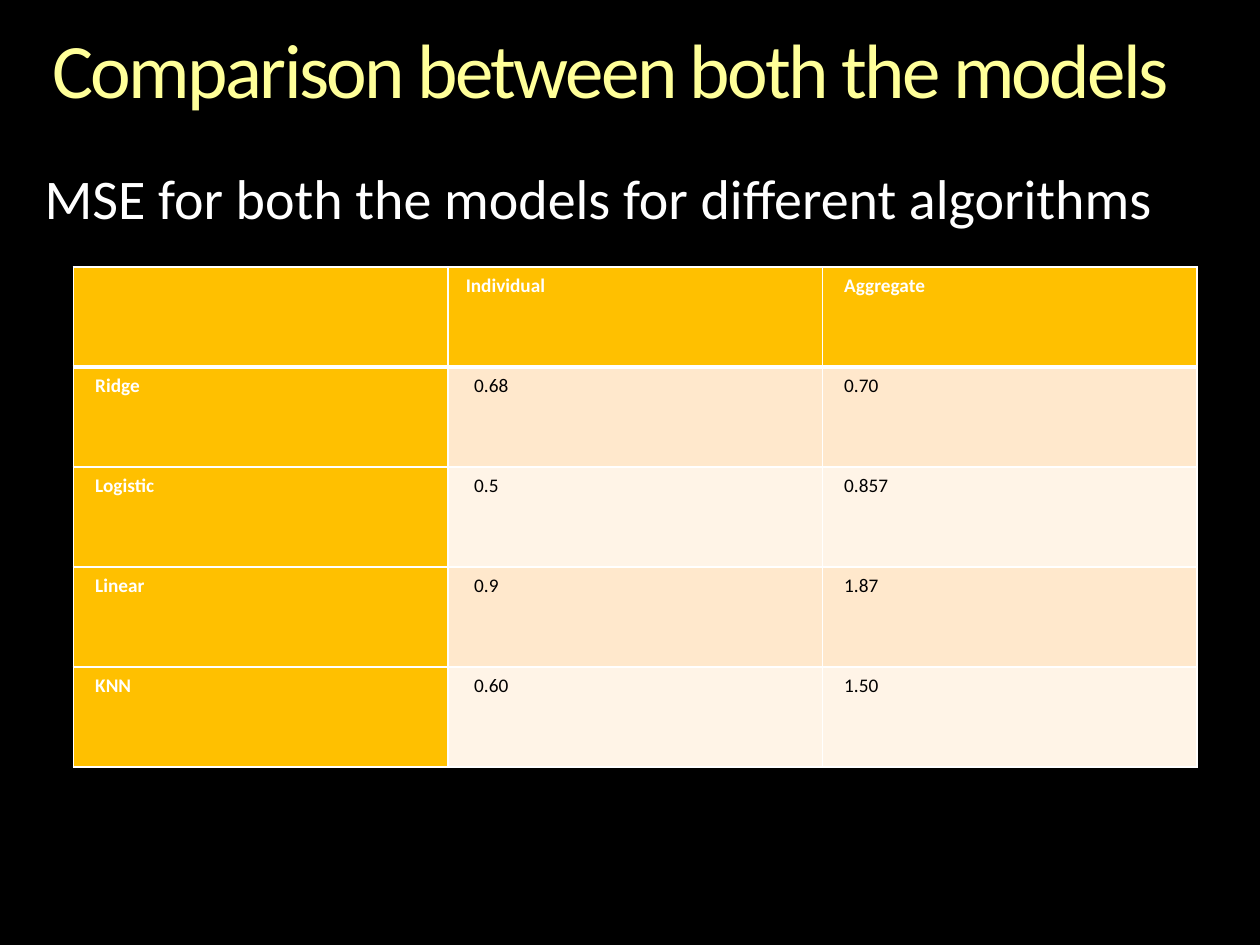
import pptx
import pptx.dml.color
import pptx.enum.text
import pptx.oxml
import pptx.util
from pptx.util import Cm

FONT = "Calibri"
A_NS = "http://schemas.openxmlformats.org/drawingml/2006/main"
ROWS = [
    ["", "Individual", "Aggregate"],
    ["Ridge", "0.68", "0.70"],
    ["Logistic", "0.5", "0.857"],
    ["Linear", "0.9", "1.87"],
    ["KNN", "0.60", "1.50"],
]


def rgb(value):
    """Return the colour for a hex string."""
    return pptx.dml.color.RGBColor.from_string(value)


def write(tf, text, size, color, bold=False, spacing=1.0):
    """Write one formatted paragraph into a text frame and return its run."""
    p = tf.paragraphs[0]
    p.line_spacing = spacing
    r = p.add_run()
    r.text = text
    formats = {"name": FONT, "size": pptx.util.Pt(size), "bold": bold}
    for name, value in formats.items():
        setattr(r.font, name, value)
    r.font.color.rgb = rgb(color)
    return r


def add_line(s, box, text, size, color, spacing=1.0):
    """Add a text box without insets and return its run."""
    tf = s.shapes.add_textbox(*box).text_frame
    formats = {
        "margin_left": 0, "margin_right": 0, "margin_top": 0, "margin_bottom": 0,
        "word_wrap": True,
        "auto_size": pptx.enum.text.MSO_AUTO_SIZE.SHAPE_TO_FIT_TEXT,
    }
    for name, value in formats.items():
        setattr(tf, name, value)
    return write(tf, text, size, color, spacing=spacing)


def add_title(s, box, text):
    """Add the slide title with tightened letters."""
    r = add_line(s, box, text, 44, "FFFF99", 0.9)
    r.font._element.set("spc", "-150")


def set_borders(cell, widths):
    """Draw white cell borders with widths in points by side."""
    tc_pr = cell._tc.get_or_add_tcPr()
    for side, width in widths.items():
        tc_pr.append(pptx.oxml.parse_xml(
            f'<a:ln{side} xmlns:a="{A_NS}" w="{pptx.util.Pt(width)}">'
            f'<a:solidFill><a:srgbClr val="FFFFFF"/></a:solidFill></a:ln{side}>'))


def fill_cell(cell, row, col, text):
    """Format one cell by its place in the table and write its text."""
    heading = row == 0 or col == 0
    indent = 0.36 if (row, col) == (0, 1) else 0.53 if col == 1 else 0.44
    formats = {"margin_left": Cm(indent), "margin_right": Cm(0.18),
               "margin_top": 0, "margin_bottom": 0}
    for name, value in formats.items():
        setattr(cell, name, value)
    set_borders(cell, {"L": 1, "R": 1, "T": 3 if row == 1 else 1,
                       "B": 3 if row == 0 else 1})
    cell.fill.solid()
    band = "FFE8CC" if row % 2 else "FFF4E7"
    cell.fill.fore_color.rgb = rgb("FFC000" if heading else band)
    if text:
        write(cell.text_frame, text, 11, "FFFFFF" if heading else "000000", heading, 1.3)


def add_scores(s, box, rows):
    """Add the table of errors with equal rows and columns."""
    left, top, width, height = box
    table = s.shapes.add_table(len(rows), len(rows[0]), left, top, width, height).table
    for i, row in enumerate(rows):
        for j, text in enumerate(row):
            fill_cell(table.cell(i, j), i, j, text)


def main():
    """Build the slide and save it."""
    prs = pptx.Presentation()
    prs.slide_width, prs.slide_height = Cm(25.4), Cm(19.05)
    s = prs.slides.add_slide(prs.slide_layouts[6])
    s.background.fill.solid()
    s.background.fill.fore_color.rgb = rgb("000000")
    add_title(s, (Cm(1.06), Cm(0.64), Cm(23.28), Cm(1.86)),
              "Comparison between both the models")
    add_line(s, (Cm(0.9), Cm(3.3), Cm(23.28), Cm(1.37)),
             "MSE for both the models for different algorithms", 32, "FFFFFF")
    add_scores(s, (Cm(1.48), Cm(5.38), Cm(22.65), Cm(10.08)), ROWS)
    prs.save("out.pptx")


if __name__ == "__main__":
    main()
